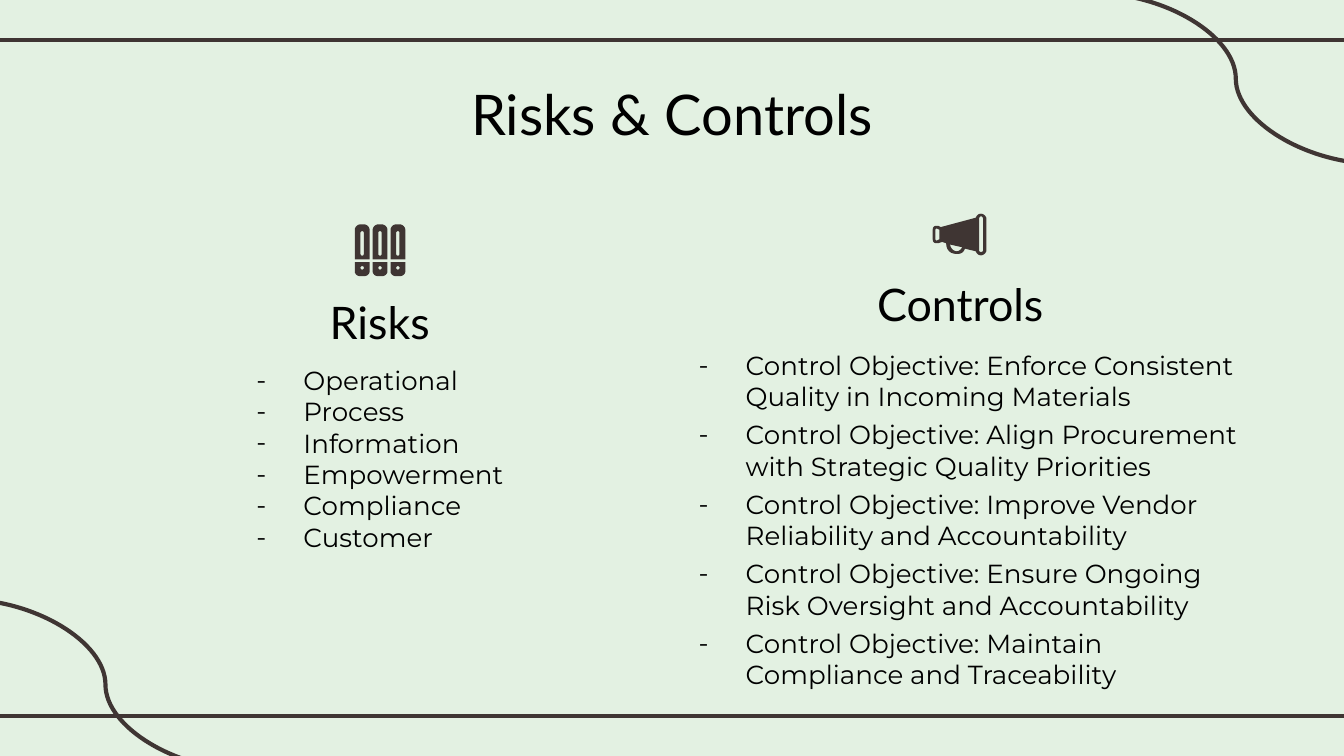
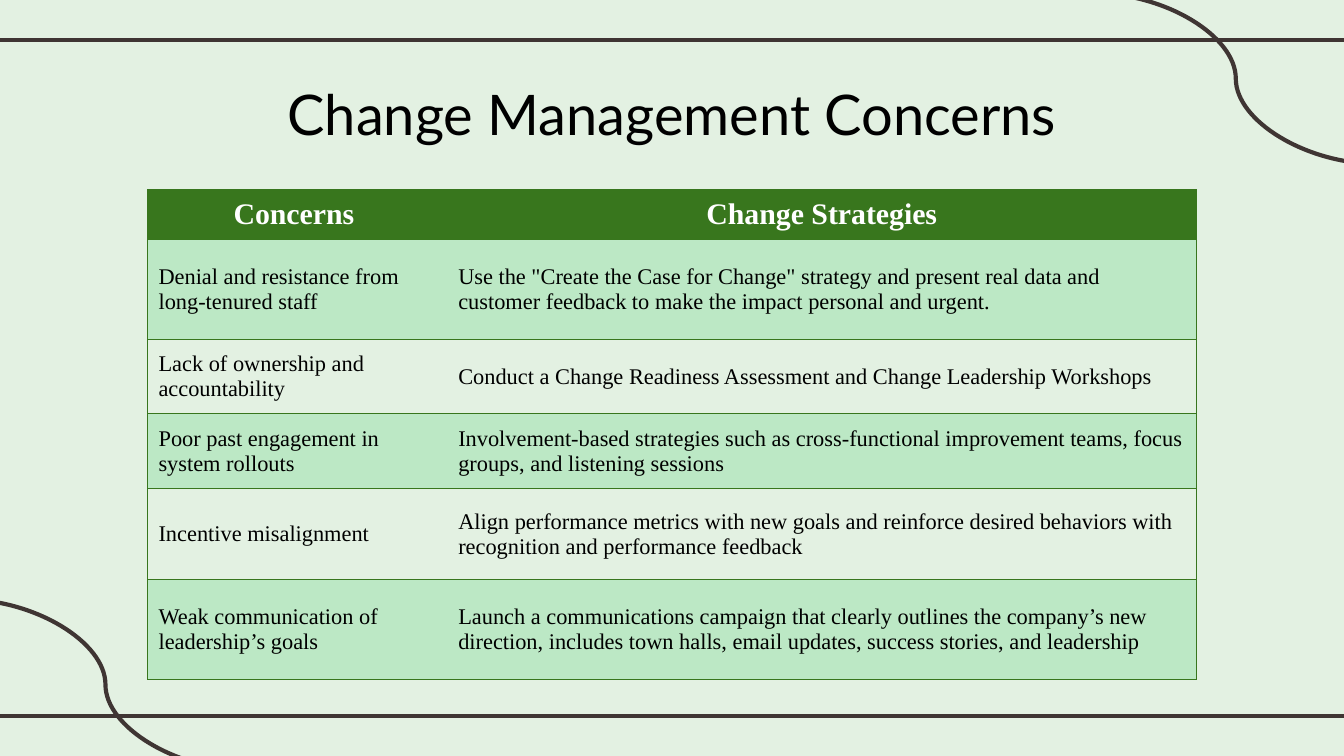
import pptx
import pptx.util
import pptx.dml.color
import pptx.enum.shapes
import pptx.enum.text
import pptx.oxml.ns
import lxml.etree

COLORS = {"paper": "E3F1E2", "ink": "3F3533", "text": "000000",
          "header": "38761D", "band": "BCE8C5", "white": "FFFFFF"}
FONTS = {"title": "Lato", "list": "Montserrat", "table": "Times New Roman"}
COLUMNS, ROWS = 100, 56.25   # the grid: square cells of a tenth of an inch
ALIGN = pptx.enum.text.PP_ALIGN
CONNECTOR = pptx.enum.shapes.MSO_CONNECTOR


def grid(cells):
    return pptx.util.Inches(cells / 10)


def rgb(name):
    return pptx.dml.color.RGBColor.from_string(COLORS[name])


def add_xml(parent, tag, **attributes):
    return lxml.etree.SubElement(parent, pptx.oxml.ns.qn(tag), **attributes)


def flatten(outline, steps=6):
    """Turn points and cubic curves (six numbers) into plain points."""
    points = []
    for item in outline:
        if len(item) == 2:
            points.append(item)
            continue
        start, curve = points[-1], (item[:2], item[2:4], item[4:])
        for step in range(1, steps + 1):
            t = step / steps
            weights = ((1 - t) ** 3, 3 * t * (1 - t) ** 2, 3 * t * t * (1 - t), t ** 3)
            points.append(tuple(sum(w * p[axis] for w, p in zip(weights, (start, *curve)))
                                for axis in (0, 1)))
    return points


class Deck:
    def __init__(self):
        self.presentation = pptx.Presentation()
        self.presentation.slide_width = grid(COLUMNS)
        self.presentation.slide_height = grid(ROWS)
        paper = self.presentation.slide_master.background.fill
        paper.solid()
        paper.fore_color.rgb = rgb("paper")
        self.slide = None

    def new_slide(self, title):
        self.slide = self.presentation.slides.add_slide(self.presentation.slide_layouts[6])
        # Rules across the top and bottom
        for row in (3, 53.3):
            self.line(CONNECTOR.STRAIGHT, -0.8, row, COLUMNS + 0.8, row)
        # Curves in two opposite corners
        for column, row in ((-2.7, 44.6), (81.4, -0.5)):
            self.line(CONNECTOR.CURVE, column, row, column + 21.1, row + 12.7)
        self.text((13.6, 4.9, 72.8, 6.3), [title], "title", 30, ALIGN.CENTER)

    def line(self, kind, x1, y1, x2, y2):
        line = self.slide.shapes.add_connector(kind, grid(x1), grid(y1), grid(x2), grid(y2))
        line.line.color.rgb = rgb("ink")
        line.line.width = pptx.util.Pt(2.25)
        add_xml(line._element.spPr, "a:effectLst")

    def style(self, paragraph, font, size, color="text", bold=False, align=ALIGN.LEFT):
        paragraph.alignment = align
        for run in paragraph.runs:
            run.font.name = FONTS[font]
            run.font.size = pptx.util.Pt(size)
            run.font.bold = bold
            run.font.color.rgb = rgb(color)

    def text(self, box, lines, font, size, align=ALIGN.LEFT, dashes=False, gap=0):
        frame = self.slide.shapes.add_textbox(*map(grid, box)).text_frame
        frame.word_wrap = True
        frame.margin_left = frame.margin_right = grid(1)
        frame.margin_top = frame.margin_bottom = grid(1)
        frame.text = "\n".join(lines)
        for paragraph in frame.paragraphs:
            self.style(paragraph, font, size, align=align)
            paragraph.space_after = pptx.util.Pt(gap)
            if dashes:
                properties = paragraph._p.get_or_add_pPr()
                properties.set("marL", str(grid(5)))
                properties.set("indent", str(grid(-3.5)))
                bullet_color = add_xml(properties, "a:buClr")
                add_xml(bullet_color, "a:srgbClr", val=COLORS["text"])
                add_xml(properties, "a:buFont", typeface=FONTS[font])
                add_xml(properties, "a:buChar", char="-")

    def icon(self, column, row, outlines):
        """Draw outlines given in tenths of a cell; inner ones are holes."""
        builder = None
        for outline in outlines:
            first, *rest = [(grid(column + x / 10), grid(row + y / 10))
                            for x, y in flatten(outline)]
            if builder is None:
                builder = self.slide.shapes.build_freeform(*first)
            else:
                builder.move_to(*first)
            builder.add_line_segments(rest, close=True)
        shape = builder.convert_to_shape()
        shape.shadow.inherit = False
        shape.fill.solid()
        shape.fill.fore_color.rgb = rgb("ink")
        shape.line.fill.background()

    def border(self, cell, side, visible):
        properties = cell._tc.get_or_add_tcPr()
        edge = add_xml(properties, "a:ln" + side, w=str(pptx.util.Pt(0.5)))
        if visible:
            add_xml(add_xml(edge, "a:solidFill"), "a:srgbClr", val=COLORS["header"])
        else:
            add_xml(edge, "a:noFill")

    def table(self, column, row, widths, heights, records):
        table = self.slide.shapes.add_table(
            len(heights), len(widths), grid(column), grid(row),
            grid(sum(widths)), grid(sum(heights))).table
        table.horz_banding = False
        for table_column, width in zip(table.columns, widths):
            table_column.width = grid(width)
        for table_row, height in zip(table.rows, heights):
            table_row.height = grid(height)
        for r, record in enumerate(records):
            for c, words in enumerate(record):
                self.cell(table.cell(r, c), words, r, c == 0, c == len(widths) - 1)

    def cell(self, cell, words, row, is_first, is_last):
        cell.text = words
        cell.vertical_anchor = pptx.enum.text.MSO_ANCHOR.MIDDLE
        cell.margin_left = cell.margin_right = grid(0.8)
        cell.margin_top = cell.margin_bottom = 0
        for side, visible in (("L", is_first), ("R", is_last), ("T", True), ("B", True)):
            self.border(cell, side, visible)
        if row % 2 or row == 0:
            cell.fill.solid()
            cell.fill.fore_color.rgb = rgb("band" if row else "header")
        else:
            cell.fill.background()
        paragraph = cell.text_frame.paragraphs[0]
        if row:
            self.style(paragraph, "table", 12)
        else:
            self.style(paragraph, "table", 16, "white", True, ALIGN.CENTER)


# Icon outlines
BINDER_SPINE = [
    [(4, 0), (2, 0, 0, 2, 0, 4), (0, 26), (11, 26), (11, 4), (11, 2, 9, 0, 7, 0)],
    [(5.5, 5), (6, 5, 6.7, 5.5, 6.7, 6), (6.7, 22), (6.7, 23, 6, 23.3, 5.5, 23.3),
     (5, 23.3, 4.2, 23, 4.2, 22), (4.2, 6), (4.2, 5.5, 5, 5, 5.5, 5)]]
BINDER_FOOT = [
    [(0, 28), (0, 35), (0, 37, 2, 38.5, 4, 38.5), (7, 38.5), (9, 38.5, 11, 37, 11, 35), (11, 28)],
    [(5.5, 31), (6.2, 31, 6.8, 31.6, 6.8, 32.3), (6.8, 33, 6.2, 33.6, 5.5, 33.6),
     (4.8, 33.6, 4.2, 33, 4.2, 32.3), (4.2, 31.6, 4.8, 31, 5.5, 31)]]
MEGAPHONE = [
    # Body
    [(36, 0), (34, 0, 33, 1, 32, 3), (6, 10), (4, 9), (4, 9, 3, 9, 3, 9), (1, 9, 0, 10, 0, 12),
     (0, 19), (0, 21, 1, 22, 3, 22), (3, 22, 4, 22, 4, 22), (7, 21), (10, 22),
     (10, 27, 13, 30, 18, 30), (21, 30, 23, 29, 24, 26), (32, 28), (33, 30, 34, 31, 36, 31),
     (38, 31, 40, 29, 40, 27), (40, 4), (40, 2, 38, 0, 36, 0)],
    # Mouthpiece
    [(3, 11), (5, 12), (5, 19), (3, 20), (2.5, 20, 2, 19.5, 2, 19), (2, 12), (2, 11.5, 2.5, 11, 3, 11)],
    # Handle
    [(13, 23), (22, 25), (21, 27, 19, 28, 18, 28), (15, 28, 13, 25, 13, 23)],
    # Bell
    [(36, 2), (37, 2, 37.5, 3, 37.5, 4), (37.5, 27), (37.5, 28, 37, 28.5, 36, 28.5),
     (35, 28.5, 34.5, 28, 34.5, 27), (34.5, 4), (34.5, 3, 35, 2, 36, 2)]]

RISKS = ["Operational", "Process", "Information", "Empowerment", "Compliance", "Customer"]
CONTROLS = ["Control Objective: " + goal for goal in (
    "Enforce Consistent Quality in Incoming Materials",
    "Align Procurement with Strategic Quality Priorities",
    "Improve Vendor Reliability and Accountability",
    "Ensure Ongoing Risk Oversight and Accountability",
    "Maintain Compliance and Traceability")]
CONCERNS = [
    ("Concerns ", "Change Strategies"),
    ("Denial and resistance from long-tenured staff",
     "Use the \"Create the Case for Change\" strategy and present real data and "
     "customer feedback to make the impact personal and urgent."),
    ("Lack of ownership and accountability",
     "Conduct a Change Readiness Assessment and Change Leadership Workshops"),
    ("Poor past engagement in system rollouts",
     "Involvement-based strategies such as cross-functional improvement teams, "
     "focus groups, and listening sessions"),
    ("Incentive misalignment",
     "Align performance metrics with new goals and reinforce desired behaviors "
     "with recognition and performance feedback"),
    ("Weak communication of leadership’s goals",
     "Launch a communications campaign that clearly outlines the company’s new "
     "direction, includes town halls, email updates, success stories, and leadership")]


def main():
    deck = Deck()

    # Risks and controls side by side
    deck.new_slide("Risks & Controls")
    for heading, heading_box, items, list_box, gap in (
            ("Controls", (59.8, 19.6, 23.3, 4.9), CONTROLS, (49.5, 25, 43.7, 27.4), 3.6),
            ("Risks", (14.8, 20.9, 26.9, 4.9), RISKS, (16.6, 26.1, 23.3, 21.8), 0)):
        deck.text(heading_box, [heading], "title", 24, ALIGN.CENTER)
        deck.text(list_box, items, "list", 14, dashes=True, gap=gap)
    for binder in range(3):
        for part in (BINDER_SPINE, BINDER_FOOT):
            deck.icon(26.4 + 1.33 * binder, 16.7, part)
    deck.icon(69.4, 15.9, MEGAPHONE)

    # Concerns and the strategies that answer them
    deck.new_slide("Change Management Concerns")
    deck.table(11, 14.1, (22.3, 55.7), (3.7, 7.45, 5.55, 5.55, 6.8, 7.4), CONCERNS)

    deck.presentation.save("out.pptx")


if __name__ == "__main__":
    main()
